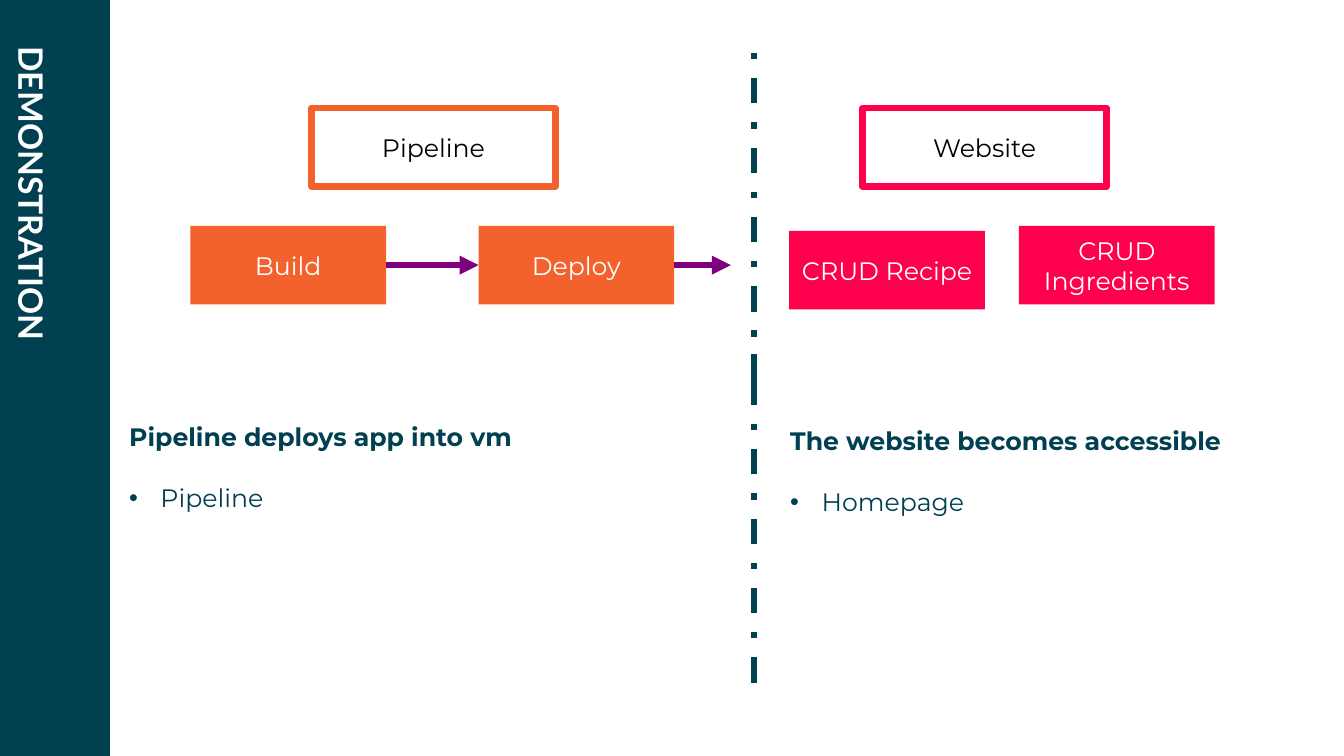
import pptx
import pptx.dml.color
import pptx.enum.dml
import pptx.enum.shapes
import pptx.enum.text
import pptx.oxml.ns
import pptx.util
from lxml import etree
from pptx.util import Cm

RGBColor = pptx.dml.color.RGBColor
TEAL = RGBColor(0x00, 0x40, 0x50)
ORANGE = RGBColor(0xF3, 0x61, 0x2C)
PINK = RGBColor(0xFF, 0x00, 0x4C)
PURPLE = RGBColor(0x7F, 0x00, 0x7D)
WHITE = RGBColor(0xFF, 0xFF, 0xFF)
BLACK = RGBColor(0x00, 0x00, 0x00)

ALIGN = pptx.enum.text.PP_ALIGN
ANCHOR = pptx.enum.text.MSO_ANCHOR
STROKE = pptx.util.Pt(4.5)
BULLET_INDENT = Cm(0.79)
STEP_TOP = 5.69
ARROW_Y = 6.68
DIVIDER_X = 19


def add_xml(parent, tag, **attributes):
    return etree.SubElement(parent, pptx.oxml.ns.qn(tag), attributes)


def write(paragraph, text, color=WHITE, font="Montserrat", size=18,
          bold=False, align=ALIGN.LEFT, before=0, spacing=1.0):
    paragraph.text = text
    paragraph.alignment = align
    paragraph.space_before = pptx.util.Pt(before)
    paragraph.line_spacing = spacing
    for run in paragraph.runs:
        run.font.name = font
        run.font.size = pptx.util.Pt(size)
        run.font.bold = bold
        run.font.color.rgb = color


def place(shape, left, top, width, height):
    shape.left, shape.top = Cm(left), Cm(top)
    shape.width, shape.height = Cm(width), Cm(height)


def add_box(slide, left, top, width, height, fill, text="", outline=None, color=WHITE):
    box = slide.shapes.add_shape(pptx.enum.shapes.MSO_SHAPE.RECTANGLE,
                                 Cm(left), Cm(top), Cm(width), Cm(height))
    box.shadow.inherit = False
    box.fill.solid()
    box.fill.fore_color.rgb = fill
    if outline is None:
        box.line.fill.background()
    else:
        box.line.color.rgb = outline
        box.line.width = STROKE
    if text:
        box.text_frame.word_wrap = True
        box.text_frame.vertical_anchor = ANCHOR.MIDDLE
        write(box.text_frame.paragraphs[0], text, color=color, align=ALIGN.CENTER)
    return box


def add_header(slide, left, text, outline):
    add_box(slide, left, 2.72, 6.15, 1.98, WHITE, text, outline, BLACK)


def add_step(slide, left, text, fill, top=STEP_TOP):
    add_box(slide, left, top, 4.93, 1.98, fill, text)


def add_line(slide, start, end, color):
    line = slide.shapes.add_connector(pptx.enum.shapes.MSO_CONNECTOR.STRAIGHT,
                                      *map(Cm, start + end))
    line.line.color.rgb = color
    line.line.width = STROKE
    add_xml(line._element.spPr, "a:effectLst")
    return line


def add_arrow(slide, left, right):
    arrow = add_line(slide, (left, ARROW_Y), (right, ARROW_Y), PURPLE)
    add_xml(arrow.line._get_or_add_ln(), "a:tailEnd", type="triangle")


def add_divider(slide, bottom, top):
    divider = add_line(slide, (DIVIDER_X, bottom), (DIVIDER_X, top), TEAL)
    divider.line.dash_style = pptx.enum.dml.MSO_LINE.DASH_DOT


def fill_sidebar(slide, text):
    title = slide.shapes.title
    sidebar = add_box(slide, 0, 0, 2.77, 19.05, TEAL)
    title._element.addprevious(sidebar._element)  # behind the title
    place(title, 0.28, 1.17, 2.16, 16.74)
    frame = title.text_frame
    frame.margin_left = frame.margin_right = frame.margin_top = frame.margin_bottom = 0
    frame.auto_size = pptx.enum.text.MSO_AUTO_SIZE.NONE
    frame.vertical_anchor = ANCHOR.BOTTOM
    frame._txBody.bodyPr.set("vert", "eaVert")
    write(frame.paragraphs[0], text, font="Lato", size=24, bold=True,
          align=ALIGN.CENTER, spacing=0.9)


def fill_list(body, left, top, width, heading, item):
    place(body, left, top, width, 2.54)
    frame = body.text_frame
    frame.auto_size = pptx.enum.text.MSO_AUTO_SIZE.NONE
    frame.vertical_anchor = ANCHOR.TOP

    heading_line = frame.paragraphs[0]
    write(heading_line, heading, color=TEAL, bold=True)
    properties = heading_line._p.get_or_add_pPr()
    properties.set("marL", "0")
    properties.set("indent", "0")
    add_xml(properties, "a:buNone")

    item_line = frame.add_paragraph()
    write(item_line, item, color=TEAL, before=22)
    properties = item_line._p.get_or_add_pPr()
    properties.set("marL", str(BULLET_INDENT))
    properties.set("indent", str(-BULLET_INDENT))
    add_xml(add_xml(properties, "a:buClr"), "a:srgbClr", val=str(TEAL))
    add_xml(properties, "a:buFont", typeface="Arial")
    add_xml(properties, "a:buChar", char="•")


def main():
    deck = pptx.Presentation()
    deck.slide_width, deck.slide_height = Cm(33.87), Cm(19.05)
    slide = deck.slides.add_slide(deck.slide_layouts.get_by_name("Two Content"))
    pipeline_list, website_list = list(slide.placeholders)[1:]

    fill_sidebar(slide, "DEMONSTRATION")

    # Pipeline side
    add_header(slide, 7.85, "Pipeline", ORANGE)
    add_step(slide, 4.8, "Build", ORANGE)
    add_step(slide, 12.06, "Deploy", ORANGE)
    add_arrow(slide, 9.73, 12.06)
    add_arrow(slide, 16.98, 18.42)
    fill_list(pipeline_list, 3, 10.49, 16, "Pipeline deploys app into vm", "Pipeline")

    # Divider in two overlapping halves
    add_divider(slide, 9.6, 1.24)
    add_divider(slide, 17.2, 8.84)

    # Website side
    add_header(slide, 21.74, "Website", PINK)
    add_step(slide, 19.89, "CRUD Recipe", PINK, top=5.82)
    add_step(slide, 25.68, "CRUD Ingredients", PINK)
    fill_list(website_list, 19.66, 10.59, 14.2, "The website becomes accessible", "Homepage")

    deck.save("out.pptx")


if __name__ == "__main__":
    main()
